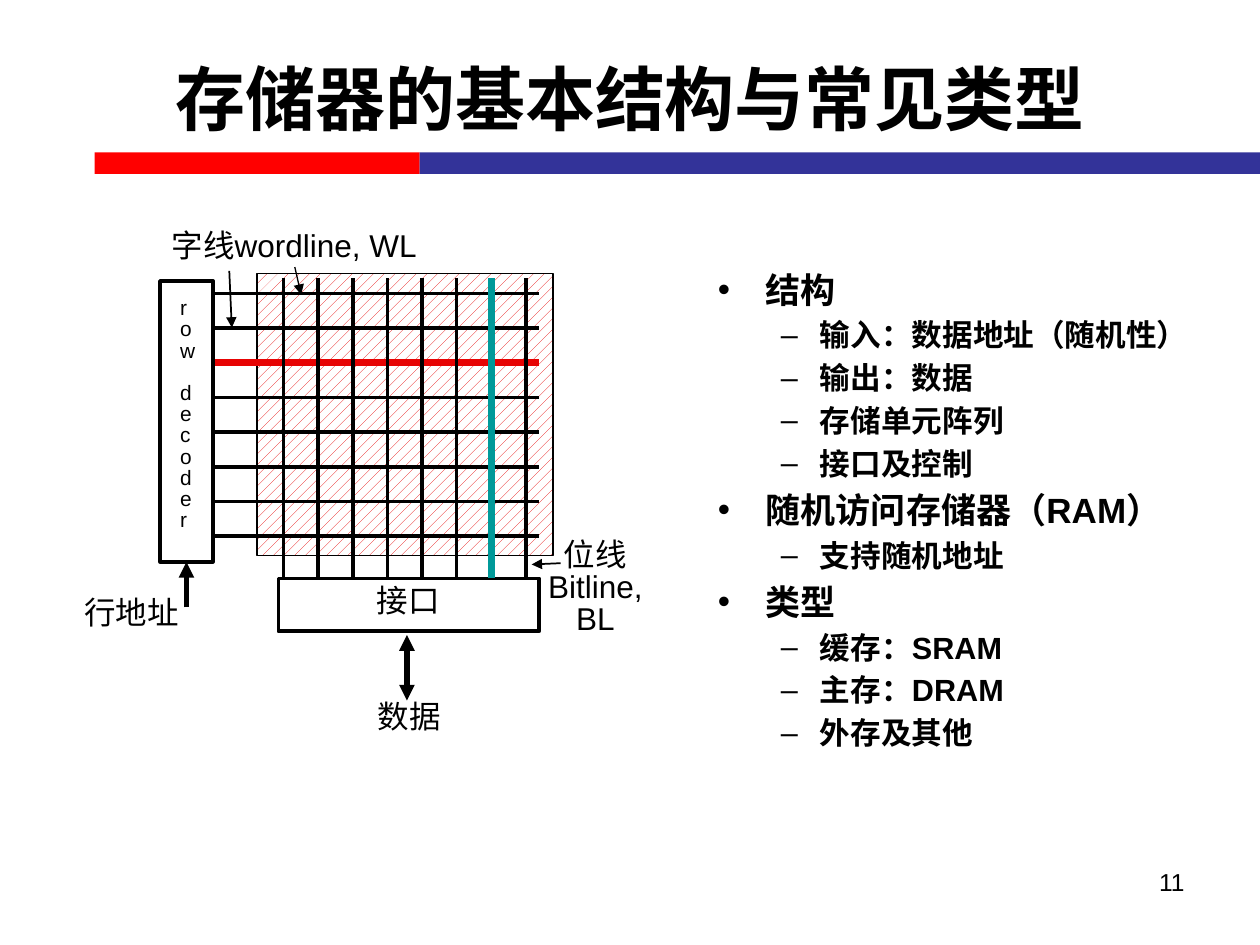
from dataclasses import dataclass

from lxml import etree
from pptx import Presentation
from pptx import util as u
from pptx.dml.color import RGBColor
from pptx.enum import dml, shapes, text
from pptx.oxml.ns import qn

I = u.Inches
LEFT, CENTER, RIGHT = text.PP_ALIGN.LEFT, text.PP_ALIGN.CENTER, text.PP_ALIGN.RIGHT


@dataclass(frozen=True)
class Theme:
    font: str = "Arial"
    black: str = "000000"
    white: str = "FFFFFF"
    bar_red: str = "FF0000"
    bar_blue: str = "333399"
    word_red: str = "E70303"
    bit_teal: str = "009999"
    title: float = 40
    topic: float = 20
    detail: float = 17.5
    label: float = 18
    number: float = 14
    decoder: float = 11.9


def rgb(color):
    return RGBColor.from_string(color)


def write(p, words, *, size, font, color, bold=False, align=LEFT, spacing=None, before=0):
    r = p.add_run()
    r.text = words
    p.alignment = align
    p.space_before = u.Pt(before)
    if spacing:
        p.line_spacing = spacing
    r.font.name, r.font.size, r.font.bold = font, u.Pt(size), bold
    r.font.color.rgb = rgb(color)


def add_bullet(p, char, indent, hanging):
    pPr = p._p.get_or_add_pPr()
    pPr.set("marL", str(I(indent)))
    pPr.set("indent", str(-I(hanging)))
    etree.SubElement(pPr, qn("a:buFont")).set("typeface", "Arial")
    etree.SubElement(pPr, qn("a:buChar")).set("char", char)


class Deck:
    """Holds the theme and the slide being drawn."""

    def __init__(self, s, theme):
        self.s, self.t = s, theme

    def style(self, **extra):
        return {"font": self.t.font, "color": self.t.black, **extra}

    def title(self, words, x, y, w, h):
        sp = self.s.shapes.title
        sp.left, sp.top, sp.width, sp.height = I(x), I(y), I(w), I(h)
        tf = sp.text_frame
        tf.vertical_anchor = text.MSO_ANCHOR.MIDDLE
        write(tf.paragraphs[0], words, **self.style(size=self.t.title, bold=True, align=CENTER))

    def rect(self, x, y, w, h, fill=None, line=None):
        sp = self.s.shapes.add_shape(shapes.MSO_SHAPE.RECTANGLE, I(x), I(y), I(w), I(h))
        sp.shadow.inherit = False
        if fill:
            sp.fill.solid()
            sp.fill.fore_color.rgb = rgb(fill)
        else:
            sp.fill.background()
        if line:
            sp.line.color.rgb = rgb(self.t.black)
            sp.line.width = u.Pt(line)
        else:
            sp.line.fill.background()
        return sp

    def hatched(self, x, y, w, h):
        fill = self.rect(x, y, w, h, line=1).fill
        fill.patterned()
        fill.pattern = dml.MSO_PATTERN.PERCENT_20
        fill.fore_color.rgb = rgb(self.t.word_red)
        fill.back_color.rgb = rgb(self.t.white)

    def line(self, x1, y1, x2, y2, width=2, color=None, heads=()):
        """heads names the arrow ends: headEnd at the start, tailEnd at the end."""
        c = self.s.shapes.add_connector(shapes.MSO_CONNECTOR.STRAIGHT, I(x1), I(y1), I(x2), I(y2))
        c.line.width = u.Pt(width)
        c.line.color.rgb = rgb(color or self.t.black)
        for end in heads:
            etree.SubElement(c.line._get_or_add_ln(), qn("a:" + end)).set("type", "triangle")
        etree.SubElement(c._element.spPr, qn("a:effectLst"))

    def box(self, x, y, w, h):
        tf = self.s.shapes.add_textbox(I(x), I(y), I(w), I(h)).text_frame
        tf.word_wrap = True
        return tf

    def label(self, lines, x, y, w, h, size=None, align=LEFT, gaps=None):
        """gaps maps a line index to the space before it, in points."""
        tf = self.box(x, y, w, h)
        tf.word_wrap = False
        tf.auto_size = text.MSO_AUTO_SIZE.SHAPE_TO_FIT_TEXT
        tf.margin_left = tf.margin_right = I(0.05)
        tf.margin_top = tf.margin_bottom = I(0.02)
        for i, words in enumerate(lines):
            p = tf.add_paragraph() if i else tf.paragraphs[0]
            write(p, words, **self.style(size=size or self.t.label, align=align, spacing=0.85,
                                         before=(gaps or {}).get(i, 0)))

    def outline(self, topics, x, y, w, h):
        tf = self.box(x, y, w, h)
        p = tf.paragraphs[0]
        for n, (topic, details) in enumerate(topics):
            if n:
                p = tf.add_paragraph()
            add_bullet(p, "•", 0.38, 0.38)
            write(p, topic, **self.style(size=self.t.topic, bold=True, before=4 if n else 0))
            for detail in details:
                p = tf.add_paragraph()
                p.level = 1
                add_bullet(p, "–", 0.81, 0.31)
                write(p, detail, **self.style(size=self.t.detail, bold=True, before=3.5))

    def number(self, words, x, y, w, h):
        write(self.box(x, y, w, h).paragraphs[0], words,
              **self.style(size=self.t.number, align=RIGHT))


TOPICS = [
    ("结构", ["输入：数据地址（随机性）", "输出：数据", "存储单元阵列", "接口及控制"]),
    ("随机访问存储器（RAM）", ["支持随机地址"]),
    ("类型", ["缓存：SRAM", "主存：DRAM", "外存及其他"]),
]
LINES, PITCH = 8, 0.275
ACTIVE_WORD, ACTIVE_BIT = 2, 6


def draw_memory(d):
    t = d.t
    d.hatched(2.04, 2.17, 2.35, 2.24)
    d.rect(1.27, 2.23, 0.42, 2.23, line=2)
    d.label("rowdecoder", 1.38, 2.35, 0.21, 1.91, size=t.decoder, gaps={3: 12})
    d.rect(2.21, 4.59, 2.07, 0.42, line=2)
    d.label(["接口"], 2.94, 4.64, 0.6, 0.29, align=CENTER)

    for i in range(LINES):
        y = 2.33 + i * PITCH
        active = i == ACTIVE_WORD
        d.line(1.71, y, 4.28, y, 4 if active else 2, t.word_red if active else t.black)
    bits = [i for i in range(LINES) if i != ACTIVE_BIT] + [ACTIVE_BIT]  # active one on top
    for i in bits:
        x = 2.25 + i * PITCH
        active = i == ACTIVE_BIT
        d.line(x, 4.59, x, 2.21, 4 if active else 2, t.bit_teal if active else t.black)

    d.line(1.48, 4.82, 1.48, 4.46, 3, heads=["tailEnd"])
    d.label(["行地址"], 0.62, 4.73, 0.85, 0.29)
    d.line(3.23, 5.04, 3.23, 5.56, 3, heads=["headEnd", "tailEnd"])
    d.label(["数据"], 2.95, 5.56, 0.6, 0.29)
    d.label(["字线wordline, WL"], 1.28, 1.82, 2.11, 0.29, align=CENTER)
    d.line(1.82, 2.15, 1.84, 2.6, 1, heads=["tailEnd"])
    d.line(2.34, 2.12, 2.39, 2.34, 0.75, heads=["tailEnd"])
    d.label(["位线", "Bitline,", "BL"], 4.3, 4.27, 0.85, 0.81, align=CENTER)
    d.line(4.45, 4.47, 4.22, 4.48, 1, heads=["tailEnd"])


def main():
    prs = Presentation()
    prs.slide_width, prs.slide_height = I(10), I(7.5)
    d = Deck(prs.slides.add_slide(prs.slide_layouts[5]), Theme())
    d.rect(0.75, 1.21, 2.58, 0.17, fill=d.t.bar_red)
    d.rect(3.33, 1.21, 6.67, 0.17, fill=d.t.bar_blue)
    d.title("存储器的基本结构与常见类型", 0.5, 0.15, 9, 1.25)
    d.outline(TOPICS, 5.6, 2.08, 4.27, 3.49)
    d.number("11", 7.17, 6.83, 2.33, 0.52)
    draw_memory(d)
    prs.save("out.pptx")


if __name__ == "__main__":
    main()
